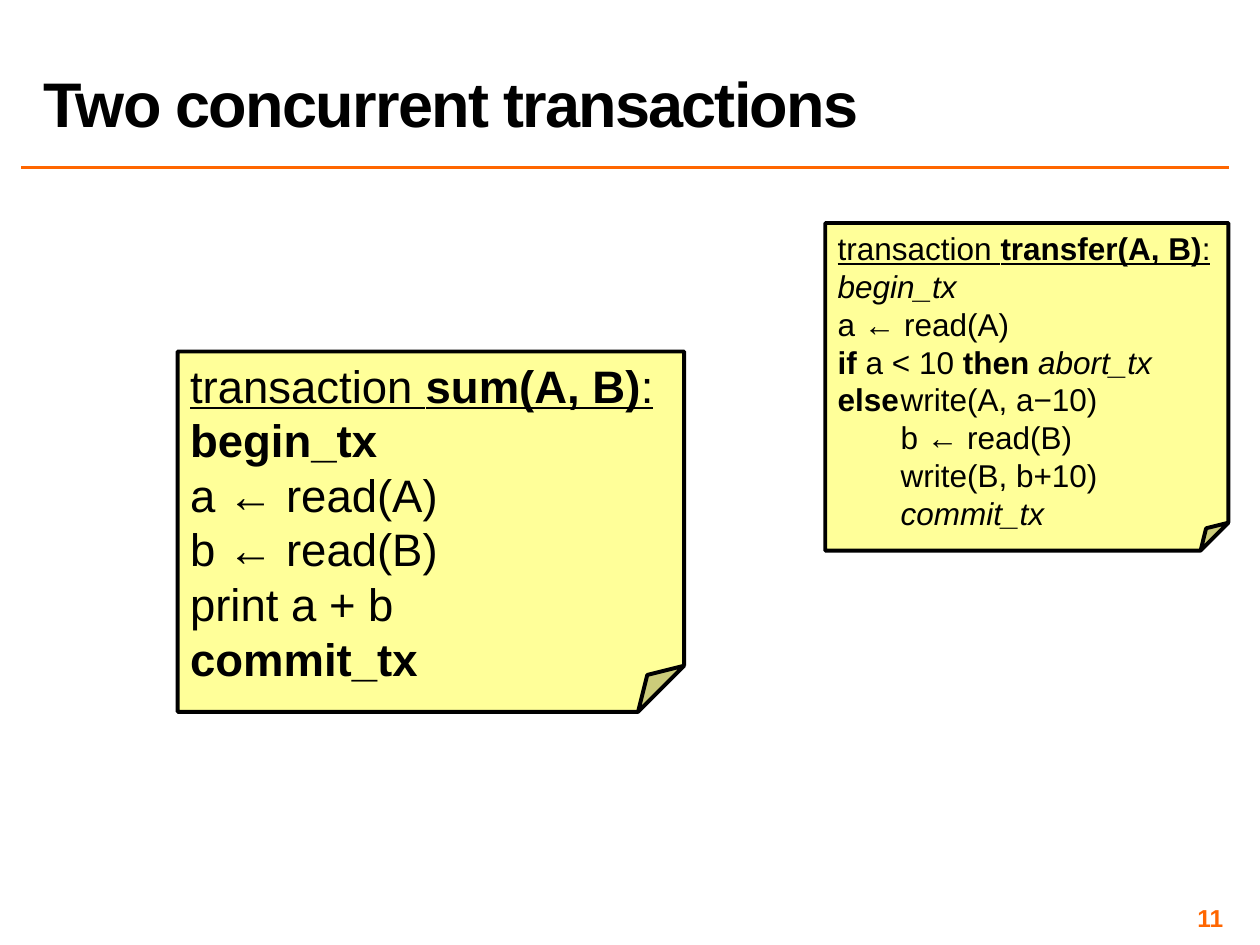
from pptx import Presentation
from pptx.dml.color import RGBColor
from pptx.enum.shapes import MSO_CONNECTOR, MSO_SHAPE
from pptx.enum.text import MSO_ANCHOR, PP_ALIGN
from pptx.util import Inches, Pt
from lxml import etree
from pptx.oxml.ns import qn

BLACK = RGBColor(0x00, 0x00, 0x00)
ORANGE = RGBColor(0xFF, 0x66, 0x00)
YELLOW = RGBColor(0xFF, 0xFF, 0x99)
FONT = "Arial"

# Each line is a list of (text, style); styles: b bold, i italic, u underlined
SUM_LINES = [
    [("transaction ", "u"), ("sum(A, B)", "bu"), (":", "u")],
    [("begin_tx", "b")],
    [("a ← read(A)", "")],
    [("b ← read(B)", "")],
    [("print a + b", "")],
    [("commit_tx", "b")],
]
TRANSFER_LINES = [
    [("transaction ", "u"), ("transfer(A, B)", "bu"), (":", "u")],
    [("begin_tx", "i")],
    [("a ← read(A)", "")],
    [("if", "b"), (" a < 10 ", ""), ("then ", "b"), ("abort_tx", "i")],
    [("else\t", "b"), ("write(A, a−10)", "")],
    [("\tb ← read(B)", "")],
    [("\twrite(B, b+10)", "")],
    [("\t", "b"), ("commit_tx", "i")],
]


def add_run(p, text, size, style="", color=BLACK):
    r = p.add_run()
    r.text = text
    r.font.name = FONT
    r.font.size = Pt(size)
    r.font.color.rgb = color
    r.font.bold = "b" in style
    r.font.italic = "i" in style
    r.font.underline = "u" in style
    return r


def add_label(s, box, text, size, color, anchor, align):
    tf = s.shapes.add_textbox(*map(Inches, box)).text_frame
    tf.word_wrap = True
    tf.vertical_anchor = anchor
    p = tf.paragraphs[0]
    p.alignment = align
    return tf, p, add_run(p, text, size, "b", color)


def add_title(s, text):
    _, p, r = add_label(s, (0.25, 0.17, 8.67, 0.99), text, 36, BLACK,
                        MSO_ANCHOR.BOTTOM, PP_ALIGN.LEFT)
    p.line_spacing = 0.8
    r.font._element.set("spc", "-100")


def add_page_number(s, text):
    tf, _, _ = add_label(s, (7.42, 7.17, 2.33, 0.23), text, 14, ORANGE,
                         MSO_ANCHOR.MIDDLE, PP_ALIGN.RIGHT)
    tf.margin_left = tf.margin_right = Inches(0.04)
    tf.margin_top = tf.margin_bottom = Inches(0.04)


def add_rule(s):
    line = s.shapes.add_connector(MSO_CONNECTOR.STRAIGHT, Inches(0.17),
                                  Inches(1.33), Inches(9.75), Inches(1.33))
    line.line.color.rgb = ORANGE
    line.line.width = Pt(2)
    etree.SubElement(line._element.spPr, qn("a:effectLst"))


def set_fold(sp, fold):
    # python-pptx lists no adjustment for this preset, so write the guide
    guides = sp._element.spPr.find(qn("a:prstGeom")).get_or_add_avLst()
    etree.SubElement(guides, qn("a:gd"), name="adj",
                     fmla=f"val {round(fold * 100000)}")


def add_note(s, box, fold, size, lines):
    sp = s.shapes.add_shape(MSO_SHAPE.FOLDED_CORNER, *map(Inches, box))
    set_fold(sp, fold)
    sp.shadow.inherit = False
    sp.fill.solid()
    sp.fill.fore_color.rgb = YELLOW
    sp.line.color.rgb = BLACK
    sp.line.width = Pt(2.25)
    tf = sp.text_frame
    tf.word_wrap = True
    tf.vertical_anchor = MSO_ANCHOR.TOP
    for i, runs in enumerate(lines):
        p = tf.paragraphs[0] if i == 0 else tf.add_paragraph()
        p.alignment = PP_ALIGN.LEFT
        for text, style in runs:
            add_run(p, text, size, style)


def main():
    prs = Presentation()
    prs.slide_width, prs.slide_height = Inches(10), Inches(7.5)
    s = prs.slides.add_slide(prs.slide_layouts[6])

    # Heading and footer
    add_rule(s)
    add_page_number(s, "11")

    # Transaction notes
    add_note(s, (1.41, 2.79, 4.02, 2.86), 0.128, 26, SUM_LINES)
    add_note(s, (6.55, 1.77, 3.2, 2.6), 0.085, 18, TRANSFER_LINES)

    add_title(s, "Two concurrent transactions")
    prs.save("out.pptx")


if __name__ == "__main__":
    main()
